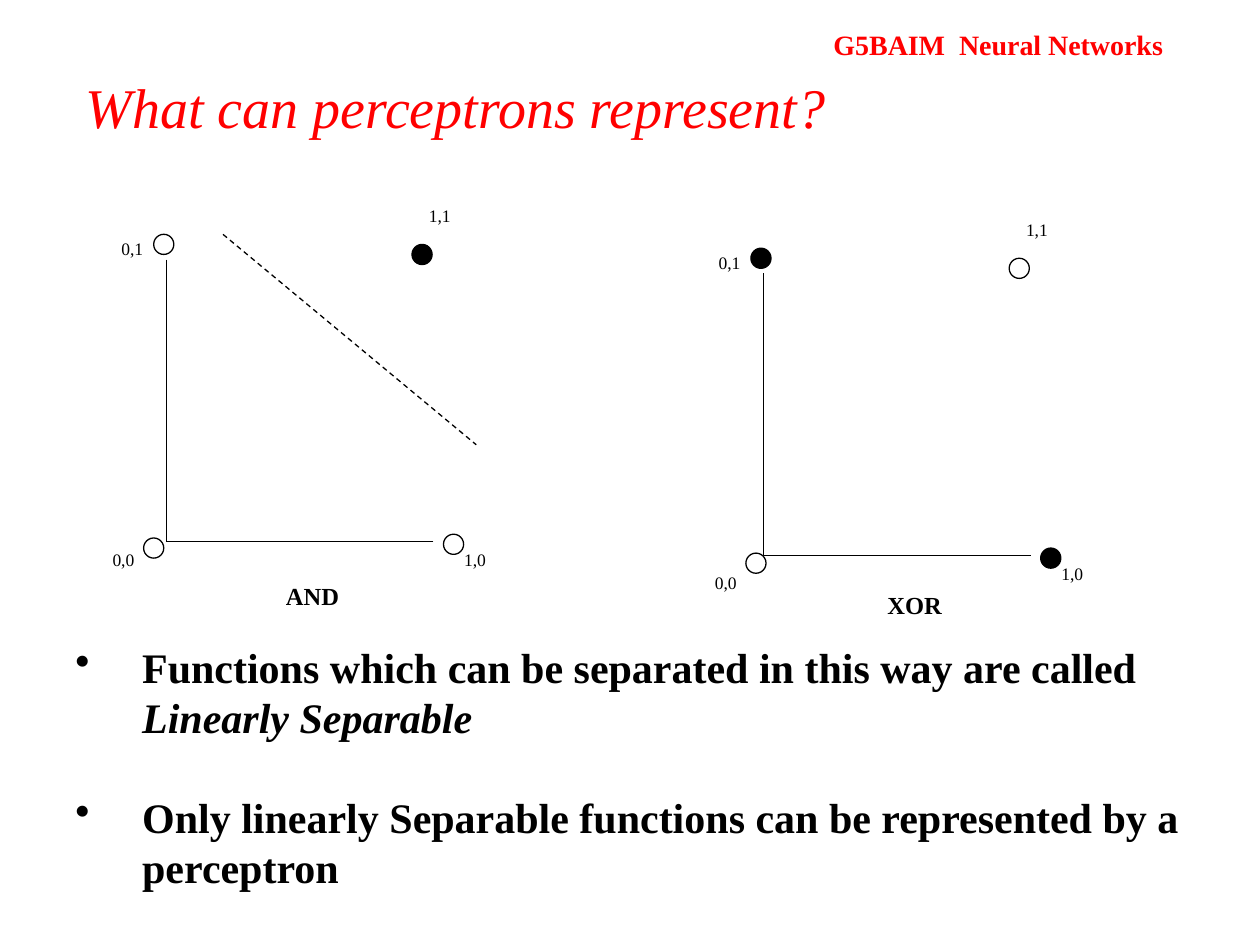
from dataclasses import dataclass

from lxml.etree import SubElement
from pptx import Presentation
from pptx.dml.color import RGBColor
from pptx.enum.dml import MSO_LINE
from pptx.enum.shapes import MSO_CONNECTOR, MSO_SHAPE
from pptx.enum.text import MSO_ANCHOR, PP_ALIGN
from pptx.oxml.ns import qn
from pptx.util import Inches, Pt


@dataclass(frozen=True)
class Theme:
    """Colours, font and type sizes of the slide."""
    font: str = "Times New Roman"
    red: RGBColor = RGBColor(255, 0, 0)
    black: RGBColor = RGBColor(0, 0, 0)
    white: RGBColor = RGBColor(255, 255, 255)
    course: int = 16
    title: int = 32
    body: int = 24
    caption: int = 14
    label: int = 10
    stroke: float = 0.75


THEME = Theme()
DOT_SIZE = 0.16
X_AXIS, Y_AXIS = 2.12, 2.24
LABEL_OFFSETS = {"0,0": (-0.74, 0.01), "0,1": (-0.67, -2.46),
                 "1,0": (2.05, 0.01), "1,1": (1.77, -2.72)}
DOT_OFFSETS = {"0,0": (-0.18, -0.03), "0,1": (-0.1, -2.44),
               "1,0": (2.2, -0.06), "1,1": (1.95, -2.36)}


def add_text(shapes, text, box, size, color=THEME.black, bold=False, italic=False,
             align=PP_ALIGN.LEFT, anchor=MSO_ANCHOR.TOP):
    """Add a wrapped one-paragraph text box and return its frame."""
    frame = shapes.add_textbox(*map(Inches, box)).text_frame
    frame.word_wrap = True
    frame.vertical_anchor = anchor
    paragraph = frame.paragraphs[0]
    paragraph.alignment = align
    add_run(paragraph, text, size, color, bold, italic)
    return frame


def add_run(paragraph, text, size, color=THEME.black, bold=False, italic=False):
    """Append a formatted run to a paragraph."""
    run = paragraph.add_run()
    run.text = text
    font = run.font
    font.name, font.size, font.bold, font.italic = THEME.font, Pt(size), bold, italic
    font.color.rgb = color


def add_bullet(paragraph):
    """Give a paragraph a hanging bullet."""
    properties = paragraph._p.get_or_add_pPr()
    properties.set("marL", str(Inches(0.53)))
    properties.set("indent", str(Inches(-0.53)))
    SubElement(properties, qn("a:buChar")).set("char", "•")


def add_line(shapes, start, end, dash=None):
    """Add a thin straight line."""
    line = shapes.add_connector(MSO_CONNECTOR.STRAIGHT, *map(Inches, (*start, *end)))
    line.line.color.rgb = THEME.black
    line.line.width = Pt(THEME.stroke)
    if dash:
        line.line.dash_style = dash
    SubElement(line._element.spPr, qn("a:effectLst"))


def add_dot(shapes, left, top, is_true):
    """Add a truth-value dot, black when true."""
    dot = shapes.add_shape(MSO_SHAPE.OVAL, *map(Inches, (left, top, DOT_SIZE, DOT_SIZE)))
    dot.shadow.inherit = False
    dot.fill.solid()
    dot.fill.fore_color.rgb = THEME.black if is_true else THEME.white
    dot.line.color.rgb = THEME.black
    dot.line.width = Pt(THEME.stroke)


def add_graph(slide, name, origin, true_inputs, caption_at, zero_label_shift=(0, 0),
              zero_dot_shift=(0, 0)):
    """Plot a Boolean function on its axes and return the group's shapes."""
    shapes = slide.shapes.add_group_shape().shapes
    x, y = origin
    add_line(shapes, (x, y - Y_AXIS), origin)
    add_line(shapes, (x + X_AXIS, y), origin)
    for inputs, (dx, dy) in LABEL_OFFSETS.items():
        sx, sy = zero_label_shift if inputs == "0,0" else (0, 0)
        add_text(shapes, inputs, (x + dx + sx, y + dy + sy, 0.8, 0.46), THEME.label,
                 align=PP_ALIGN.CENTER)
    for inputs, (dx, dy) in DOT_OFFSETS.items():
        sx, sy = zero_dot_shift if inputs == "0,0" else (0, 0)
        add_dot(shapes, x + dx + sx, y + dy + sy, inputs in true_inputs)
    add_text(shapes, name, (*caption_at, 1.58, 0.53), THEME.caption, bold=True,
             align=PP_ALIGN.CENTER)
    return shapes


def add_conclusions(slide):
    """Add the two bulleted conclusions."""
    frame = add_text(slide.shapes, "Functions which can be separated in this way are called ",
                     (0.5, 5.04, 9.25, 2.1), THEME.body, bold=True)
    separable = frame.paragraphs[0]
    add_run(separable, "Linearly Separable", THEME.body, bold=True, italic=True)
    limit = frame.add_paragraph()
    limit.space_before = Pt(28)
    add_run(limit, "Only linearly Separable functions can be represented by a perceptron",
            THEME.body, bold=True)
    for conclusion in (separable, limit):
        add_bullet(conclusion)


def main():
    """Build and save the slide."""
    deck = Presentation()
    deck.slide_width, deck.slide_height = Inches(10), Inches(7.5)
    slide = deck.slides.add_slide(deck.slide_layouts[6])
    add_text(slide.shapes, "G5BAIM  Neural Networks", (0.5, 0.17, 8.83, 0.37), THEME.course,
             THEME.red, bold=True, align=PP_ALIGN.RIGHT)
    title = add_text(slide.shapes, "What can perceptrons represent?", (0.58, 0.58, 8.5, 0.58),
                     THEME.title, THEME.red, italic=True, anchor=MSO_ANCHOR.BOTTOM)
    title.paragraphs[0].space_after = Pt(3)
    and_graph = add_graph(slide, "AND", (1.32, 4.3), {"1,1"}, (1.69, 4.56))
    add_line(and_graph, (1.77, 1.86), (3.78, 3.53), MSO_LINE.DASH)
    add_graph(slide, "XOR", (6.06, 4.41), {"0,1", "1,0"}, (6.47, 4.63),
              zero_label_shift=(0.04, 0.07), zero_dot_shift=(0.04, 0.01))
    add_conclusions(slide)
    deck.save("out.pptx")


if __name__ == "__main__":
    main()
